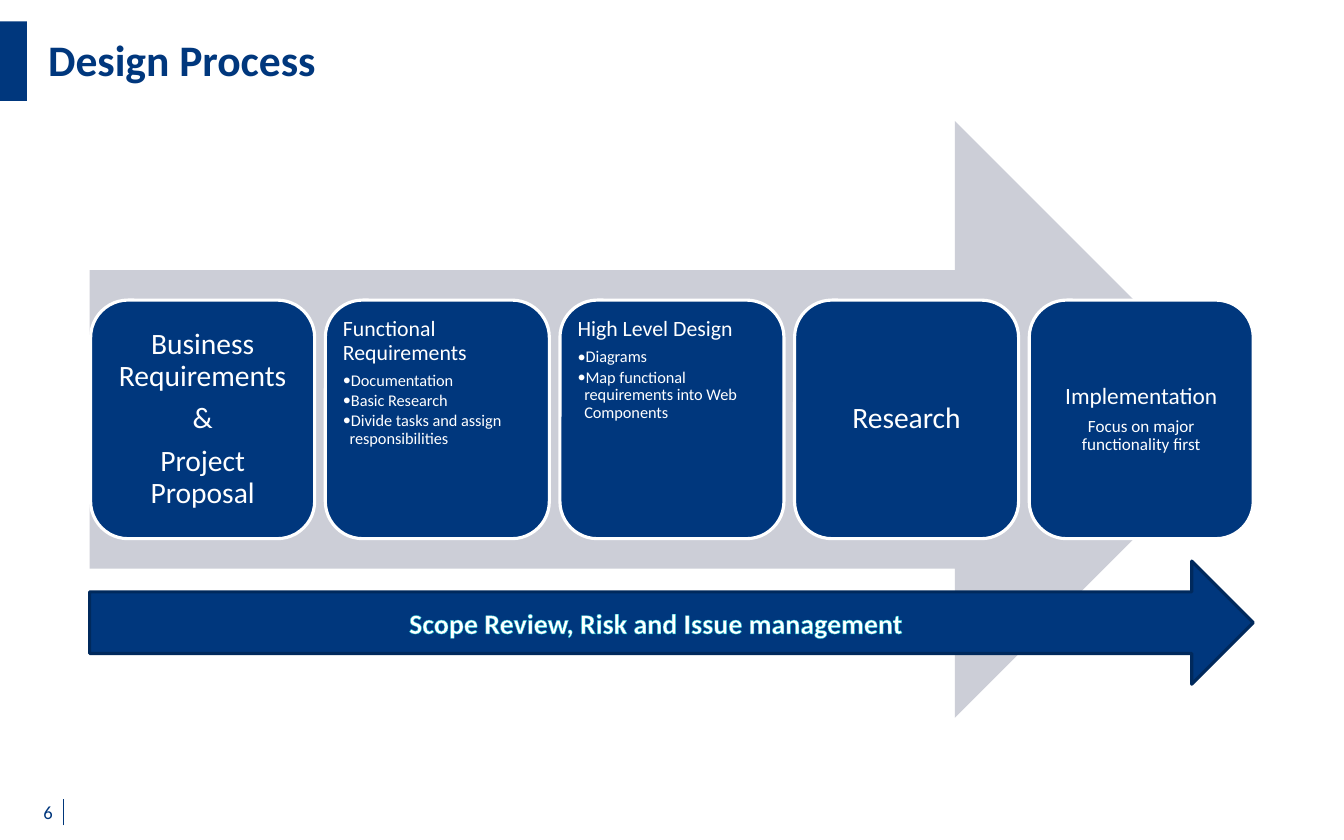
from dataclasses import dataclass

from pptx import Presentation
from pptx.dml.color import RGBColor
from pptx.enum.shapes import MSO_CONNECTOR, MSO_SHAPE
from pptx.enum.text import MSO_ANCHOR, PP_ALIGN
from pptx.oxml.ns import qn
from pptx.util import Inches, Pt
from lxml.etree import SubElement


@dataclass(frozen=True)
class Theme:
    font: str = "Calibri"
    navy: str = "00377D"
    navy_rule: str = "00367A"
    navy_edge: str = "00295C"
    silver: str = "CCCED7"
    white: str = "FFFFFF"
    cyan: str = "14BECD"
    title: float = 28
    banner: float = 18
    number: float = 12
    heading: float = 19
    subheading: float = 14
    item: float = 10.5
    closing: float = 15
    closing_note: float = 11
    edge: float = 2
    rule: float = 0.75


THEME = Theme()
WIDTH, HEIGHT = 12, 7.5
LEFT, SPAN = 0.8, 10.39
CARD_LEFT, CARD_TOP, CARD_WIDTH, CARD_HEIGHT = 0.81, 2.68, 2, 2.13

STAGES = [
    dict(headings=["Business Requirements", "&", "Project Proposal"], size=THEME.heading),
    dict(headings=["Functional Requirements"], size=THEME.subheading,
         items=["Documentation", "Basic Research", "Divide tasks and assign responsibilities"]),
    dict(headings=["High Level Design"], size=THEME.subheading,
         items=["Diagrams", "Map functional requirements into Web Components"]),
    dict(headings=["Research"], size=THEME.heading),
    dict(headings=["Implementation"], size=THEME.closing,
         note="Focus on major functionality first"),
]
CARD_PITCH = (LEFT + SPAN - CARD_WIDTH - CARD_LEFT) / (len(STAGES) - 1)


def apply(target, formats):
    for name, value in formats.items():
        setattr(target, name, value)


def box(*lengths):
    return [Inches(length) for length in lengths]


def write(paragraph, text, size, color=THEME.white, bold=False, **formats):
    run = paragraph.add_run()
    run.text = text
    apply(run.font, dict(name=THEME.font, size=Pt(size), bold=bold))
    run.font.color.rgb = RGBColor.from_string(color)
    apply(paragraph, formats)
    return run


def add_block(slide, kind, bounds, fill, edge=None):
    block = slide.shapes.add_shape(kind, *box(*bounds))
    block.shadow.inherit = False
    block.fill.solid()
    block.fill.fore_color.rgb = RGBColor.from_string(fill)
    if edge:
        block.line.color.rgb = RGBColor.from_string(edge)
        block.line.width = Pt(THEME.edge)
    else:
        block.line.fill.background()
    return block


def add_title(slide, text):
    title = slide.shapes.title
    apply(title, dict(zip(("left", "top", "width", "height"), box(0.33, 0.21, 10.8, 0.64))))
    title.text_frame.vertical_anchor = MSO_ANCHOR.MIDDLE
    write(title.text_frame.paragraphs[0], text, THEME.title, THEME.navy, True,
          alignment=PP_ALIGN.LEFT)


def add_page_number(slide, number):
    frame = slide.shapes.add_textbox(*box(-0.24, 7.05, 0.81, 0.4)).text_frame
    apply(frame, dict(word_wrap=True, vertical_anchor=MSO_ANCHOR.MIDDLE))
    write(frame.paragraphs[0], number, THEME.number, THEME.navy, alignment=PP_ALIGN.RIGHT)
    rule = slide.shapes.add_connector(MSO_CONNECTOR.STRAIGHT, *box(0.57, 7.37, 0.57, 7.13))
    rule.line.color.rgb = RGBColor.from_string(THEME.navy_rule)
    rule.line.width = Pt(THEME.rule)
    SubElement(rule._element.spPr, qn("a:effectLst"))


def add_bullet(paragraph):
    properties = paragraph._p.get_or_add_pPr()
    indent = Inches(0.06)
    properties.set("marL", str(indent))
    properties.set("indent", str(-indent))
    SubElement(properties, qn("a:buFont"), typeface=THEME.font)
    SubElement(properties, qn("a:buChar"), char="•")


def add_stage(slide, column, headings, size, items=(), note=None):
    bounds = (CARD_LEFT + column * CARD_PITCH, CARD_TOP, CARD_WIDTH, CARD_HEIGHT)
    card = add_block(slide, MSO_SHAPE.ROUNDED_RECTANGLE, bounds, THEME.navy, THEME.white)
    frame = card.text_frame
    inset = Inches(0.08 if size == THEME.heading else 0.06)
    sides = ("left", "top", "right", "bottom")
    apply(frame, {f"margin_{side}": inset for side in sides})
    apply(frame, dict(word_wrap=True,
                      vertical_anchor=MSO_ANCHOR.TOP if items else MSO_ANCHOR.MIDDLE))
    alignment = PP_ALIGN.LEFT if items else PP_ALIGN.CENTER
    rows = [(heading, size, 0.35, 0) for heading in headings]
    rows += [(item, THEME.item, 0.15, 1) for item in items]
    if note:
        rows.append((note, THEME.closing_note, 0.35, 0))
    for index, (text, row_size, gap, level) in enumerate(rows):
        paragraph = frame.add_paragraph() if index else frame.paragraphs[0]
        write(paragraph, text, row_size, alignment=alignment, level=level,
              line_spacing=0.9, space_after=Pt(row_size * gap))
        if level:
            add_bullet(paragraph)


def add_banner(slide, text):
    banner = add_block(slide, MSO_SHAPE.RIGHT_ARROW, (LEFT, 5.01, SPAN, 1.1),
                       THEME.navy, THEME.navy_edge)
    apply(banner.text_frame, dict(word_wrap=True, vertical_anchor=MSO_ANCHOR.MIDDLE))
    run = write(banner.text_frame.paragraphs[0], text, THEME.banner, bold=True,
                alignment=PP_ALIGN.CENTER)
    properties = run.font._element
    outline = SubElement(properties, qn("a:ln"), w=str(Pt(0.8)))
    SubElement(SubElement(outline, qn("a:solidFill")), qn("a:srgbClr"), val=THEME.cyan)
    properties.insert(0, outline)


def main():
    deck = Presentation()
    apply(deck, dict(slide_width=Inches(WIDTH), slide_height=Inches(HEIGHT)))
    slide = deck.slides.add_slide(deck.slide_layouts.get_by_name("Title Only"))
    add_block(slide, MSO_SHAPE.RECTANGLE, (0, 0.19, 0.24, 0.71), THEME.navy)
    add_title(slide, "Design Process")
    add_page_number(slide, "6")
    add_block(slide, MSO_SHAPE.RIGHT_ARROW, (LEFT, 1.08, SPAN, 5.33), THEME.silver)
    for column, stage in enumerate(STAGES):
        add_stage(slide, column, **stage)
    add_banner(slide, "Scope Review, Risk and Issue management")
    deck.save("out.pptx")


if __name__ == "__main__":
    main()
